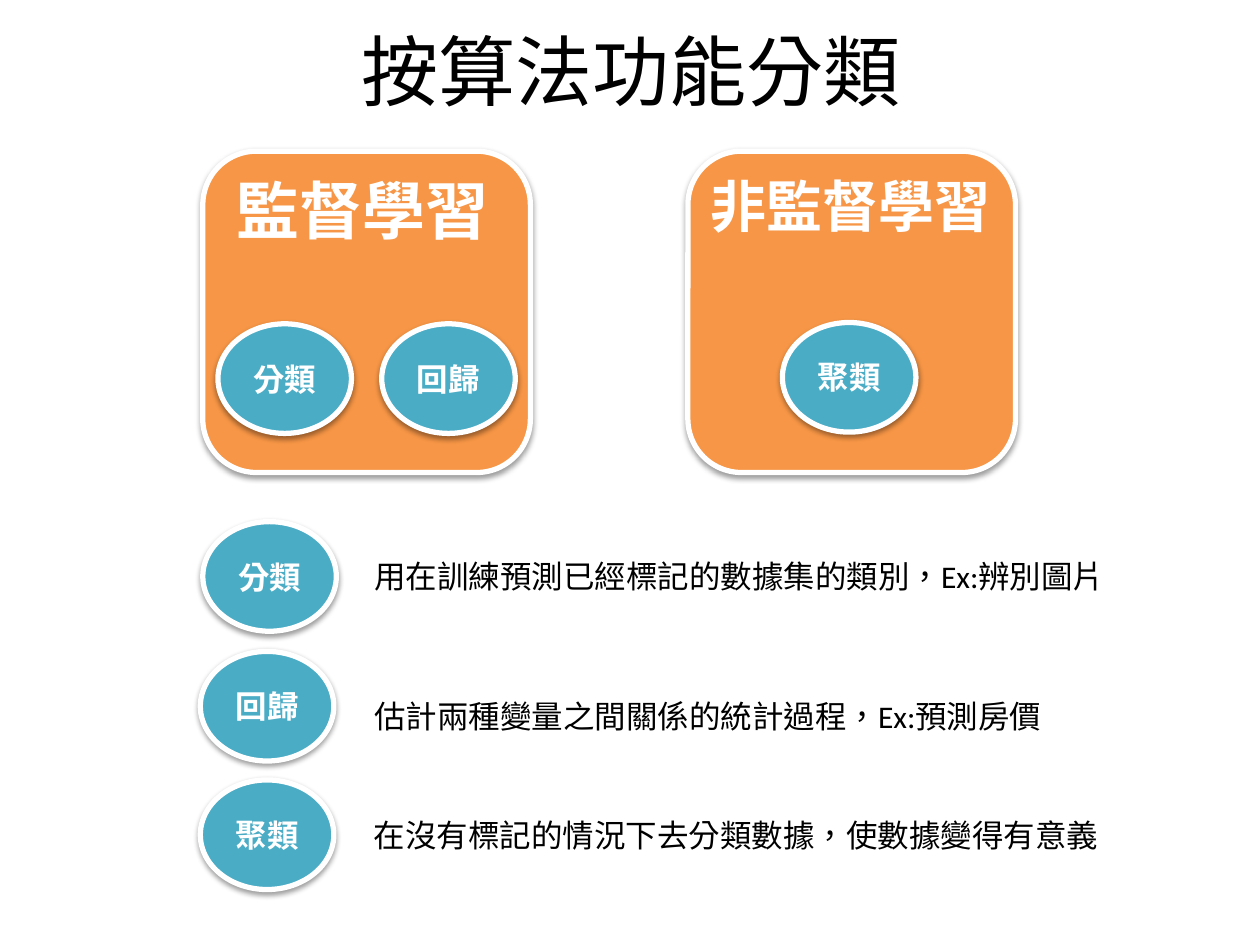
from dataclasses import dataclass

from lxml import etree
from pptx import Presentation
from pptx.dml.color import RGBColor
from pptx.enum.shapes import MSO_SHAPE
from pptx.enum.text import MSO_ANCHOR, PP_ALIGN
from pptx.oxml.ns import qn
from pptx.shapes.autoshape import Shape
from pptx.util import Inches, Pt

ROUNDED = MSO_SHAPE.ROUNDED_RECTANGLE
OVAL = MSO_SHAPE.OVAL
MIDDLE = MSO_ANCHOR.MIDDLE
TOP = MSO_ANCHOR.TOP
LEFT = PP_ALIGN.LEFT
CENTER = PP_ALIGN.CENTER

COLORS = {
    "card": "F79646",
    "oval": "4BACC6",
    "white": "FFFFFF",
    "black": "000000",
}
LATIN = "Calibri"
CJK = "Noto Sans CJK SC"
CARD_TOP, CARD_W, CARD_H = 1.2, 2.6, 2.55
OVAL_W, OVAL_H = 1.06, 0.87


@dataclass
class Run:
    text: str
    font: str = LATIN


@dataclass
class Oval:
    label: str
    left: float
    top: float


@dataclass
class Card:
    title: str
    size: int
    left: float
    title_box: tuple[float, float, float, float]
    ovals: list[Oval]


@dataclass
class Definition:
    oval: Oval
    runs: list[Run]
    text_top: float
    text_width: float


CARDS = [
    Card("非監督學習", 32, 5.46, (5.54, 1.31, 2.45, 0.64),
         [Oval("聚類", 6.21, 2.56)]),
    Card("監督學習", 36, 1.61, (1.78, 1.31, 2.22, 0.71),
         [Oval("分類", 1.73, 2.57), Oval("回歸", 3.03, 2.57)]),
]
DEFINITIONS = [
    Definition(Oval("分類", 1.61, 4.14),
               [Run("用在訓練預測已經標記的數據集的類別，Ex:辨別圖片")], 4.37, 6.38),
    Definition(Oval("回歸", 1.59, 5.17),
               [Run("估計兩種變量之間關係的統計過程，Ex:"), Run("預測房價", CJK)], 5.48, 5.75),
    Definition(Oval("聚類", 1.59, 6.19),
               [Run("在沒有標記的情況下去分類數據，使數據變得有意義")], 6.43, 6.14),
]


def rgb(name: str) -> RGBColor:
    return RGBColor.from_string(COLORS[name])


def write(sp: Shape, runs: list[Run], size: int, color: str, bold: bool = False,
          align: PP_ALIGN = LEFT, anchor: MSO_ANCHOR = TOP, wrap: bool = True) -> None:
    tf = sp.text_frame
    tf.word_wrap = wrap
    tf.vertical_anchor = anchor
    p = tf.paragraphs[0]
    p.alignment = align
    p.font.size = Pt(size)
    p.font.bold = bold
    p.font.color.rgb = rgb(color)
    for run in runs:
        r = p.add_run()
        r.text = run.text
        r.font.name = run.font
        r._r.get_or_add_rPr().set("lang", "zh-TW")


def add_text(shapes, box: tuple[float, float, float, float]) -> Shape:
    return shapes.add_textbox(*map(Inches, box))


def add_shadow(sp: Shape) -> None:
    sp.shadow.inherit = False
    effects = sp._element.spPr.find(qn("a:effectLst"))
    shadow = etree.SubElement(effects, qn("a:outerShdw"), blurRad="40000",
                              dist="20000", dir="5400000", rotWithShape="0")
    color = etree.SubElement(shadow, qn("a:srgbClr"), val=COLORS["black"])
    etree.SubElement(color, qn("a:alpha"), val="38000")


def add_outlined(shapes, kind: MSO_SHAPE, box: tuple[float, float, float, float],
                 fill: str) -> Shape:
    sp = shapes.add_shape(kind, *map(Inches, box))
    sp.fill.solid()
    sp.fill.fore_color.rgb = rgb(fill)
    sp.line.color.rgb = rgb("white")
    sp.line.width = Pt(3)
    add_shadow(sp)
    return sp


def add_oval(shapes, oval: Oval) -> None:
    sp = add_outlined(shapes, OVAL, (oval.left, oval.top, OVAL_W, OVAL_H), "oval")
    write(sp, [Run(oval.label)], 18, "white", True, CENTER, MIDDLE)


def add_card(shapes, card: Card) -> None:
    group = shapes.add_group_shape().shapes
    add_outlined(group, ROUNDED, (card.left, CARD_TOP, CARD_W, CARD_H), "card")
    for oval in card.ovals:
        add_oval(group, oval)
    write(add_text(group, card.title_box), [Run(card.title, CJK)], card.size,
          "white", True, wrap=False)


def add_definition(shapes, item: Definition) -> None:
    add_oval(shapes, item.oval)
    sp = add_text(shapes, (2.87, item.text_top, item.text_width, 0.4))
    write(sp, item.runs, 18, "black")


def main() -> None:
    prs = Presentation()
    prs.slide_width = Inches(10)
    prs.slide_height = Inches(7.5)
    s = prs.slides.add_slide(prs.slide_layouts[6])
    write(add_text(s.shapes, (0.51, 0.05, 9, 1.01)), [Run("按算法功能分類")], 44,
          "black", align=CENTER, anchor=MIDDLE)
    for card in CARDS:
        add_card(s.shapes, card)
    for item in DEFINITIONS:
        add_definition(s.shapes, item)
    prs.save("out.pptx")


if __name__ == "__main__":
    main()
